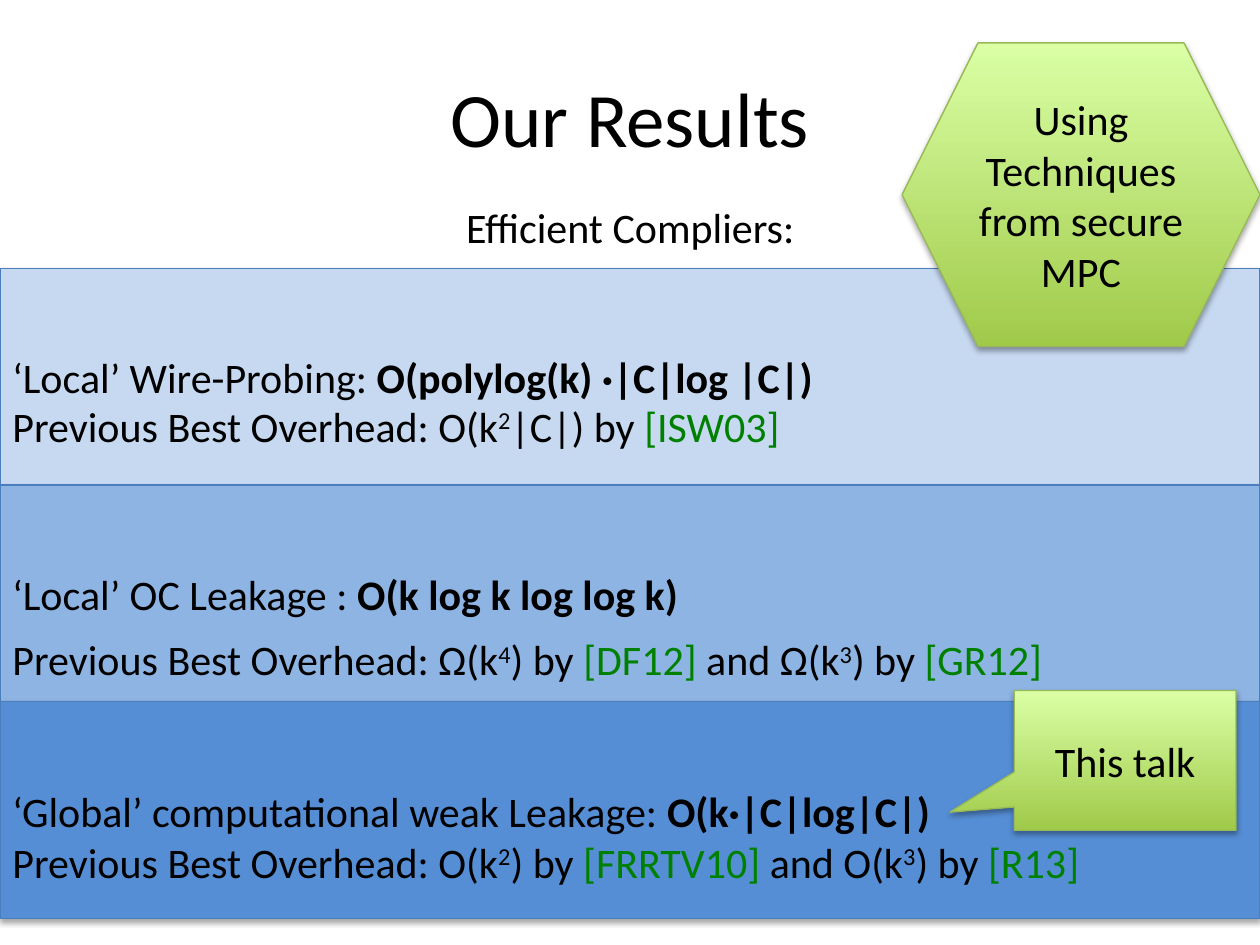
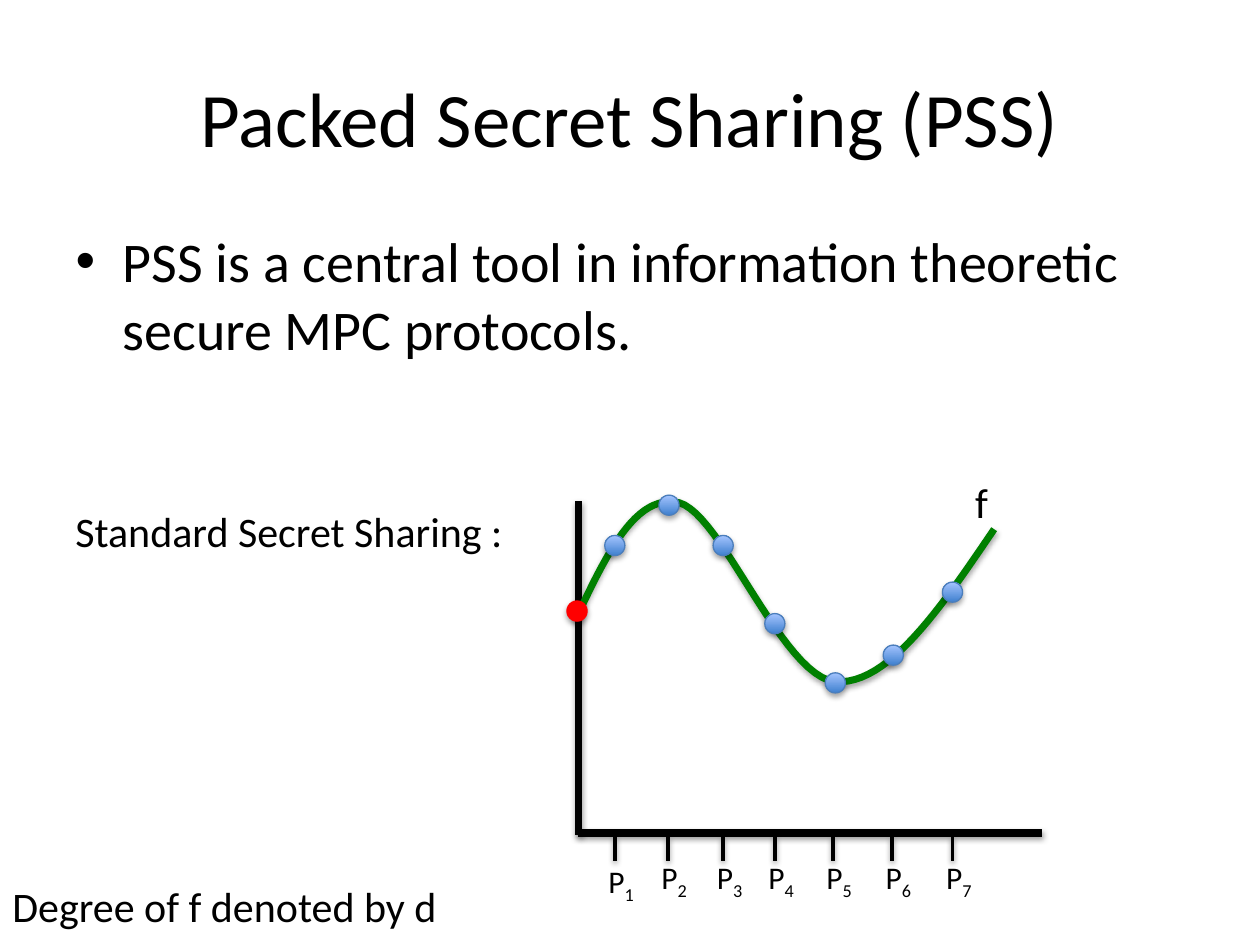
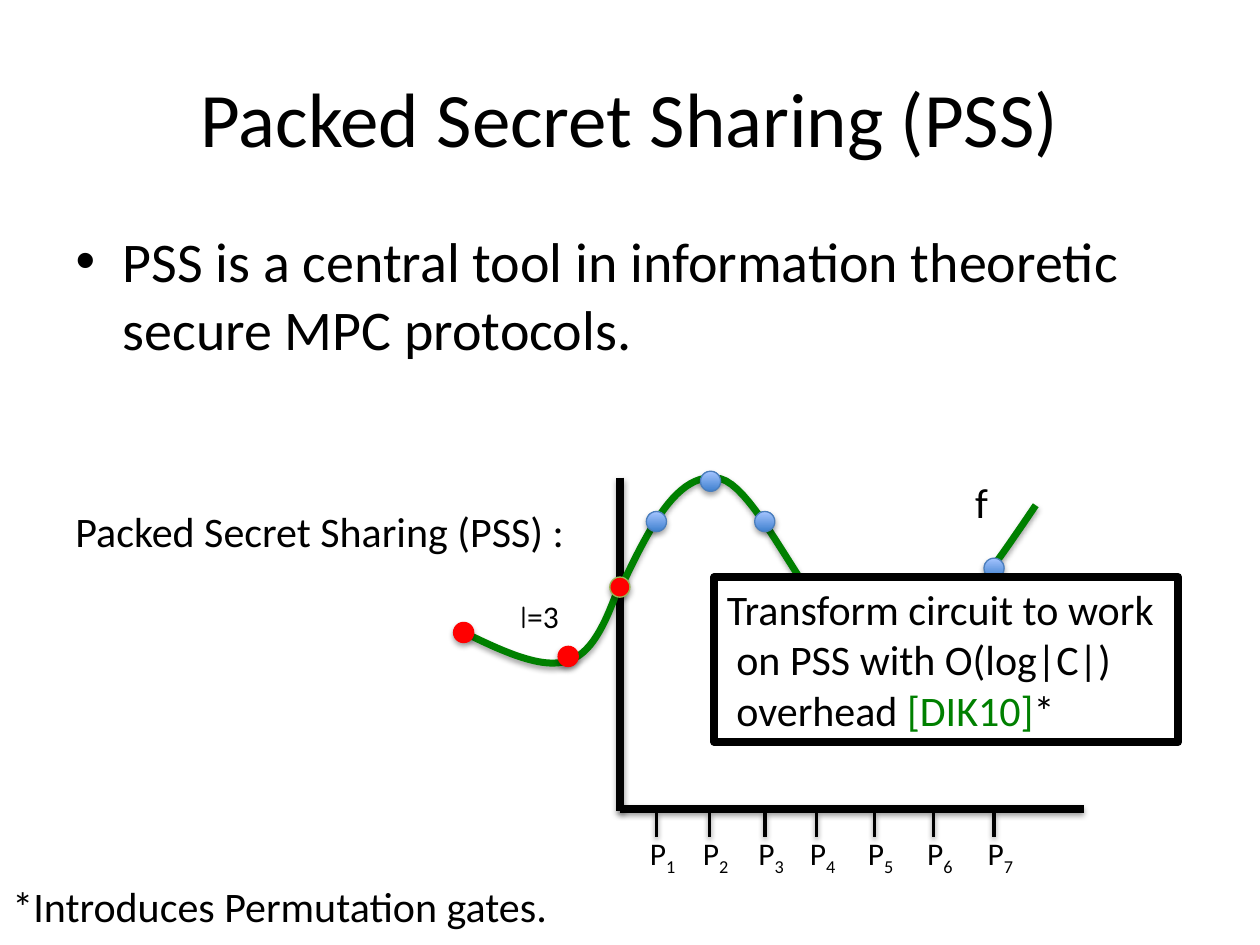
from pptx import Presentation
from pptx.dml.color import RGBColor
from pptx.enum.shapes import MSO_CONNECTOR as CONN, MSO_SHAPE as SHAPE
from pptx.enum.text import MSO_ANCHOR as ANCHOR, PP_ALIGN as ALIGN
from pptx.oxml.ns import qn
from pptx.util import Pt
from lxml import etree

PX = 9144  # 100 px to the inch
FONT = "Calibri"
BLACK, WHITE, RED, GREEN, BLUE_EDGE, LIME_EDGE = (
    "000000", "FFFFFF", "FF0000", "008000", "4B7EBC", "98B955")
LIME = ("A0CA4A", "DAFFA5")  # gradient, bottom to top
BLUE = ("3F80CE", "A4C4FF")
BASELINE = {"sup": "30000", "sub": "-25000"}

# Content: rich text is a list of (text, mark)
BAND_TOP, BAND_H = 213, 172
PREVIOUS = "Previous Best Overhead: "
BANDS = [  # fill, result, earlier work, top of earlier work
    ("C6D9F1",
     [("‘Local’ Wire-Probing: ", ""), ("O(polylog(k) ·|C|log |C|)", "bold")],
     [(PREVIOUS + "O(k", ""), ("2", "sup"), ("|C|) by ", ""), ("[ISW03]", "cite")], 313),
    ("8EB4E3",
     [("‘Local’ OC Leakage : ", ""), ("O(k log k log log k)", "bold")],
     [(PREVIOUS + "Ω(k", ""), ("4", "sup"), (") by ", ""), ("[DF12] ", "cite"),
      ("and Ω(k", ""), ("3", "sup"), (") by ", ""), ("[GR12]", "cite")], 498),
    ("558ED5",
     [("‘Global’ computational weak Leakage: ", ""), ("O(k·|C|log|C|)", "bold")],
     [(PREVIOUS + "O(k", ""), ("2", "sup"), (") by ", ""), ("[FRRTV10] ", "cite"),
      ("and O(k", ""), ("3", "sup"), (") by ", ""), ("[R13]", "cite")], 659),
]
PSS_TITLE = "Packed Secret Sharing (PSS)"
PSS_BODY = "PSS is a central tool in information theoretic secure MPC protocols."
PARTIES = [  # tick x, then centre of the share on the curve
    (488, 488, 433), (530, 531, 401), (574, 574, 433), (615, 615, 495),
    (661, 663, 542), (708, 709, 520), (756, 756, 470)]
CURVE = [(457, 491), (481, 441), (504, 391), (539, 399), (573, 408), (621, 537),
         (663, 541), (705, 544), (747, 482), (789, 420)]
TAIL = [(491, 466), (481, 493), (470, 520), (449, 525), (427, 531), (395, 515), (362, 499)]
PACKED_SHIFT = (33, -19)
NOTE = [
    [("Transform circuit to work", "")],
    [(" on PSS with O(log|C|)", "")],
    [(" overhead ", ""), ("[DIK10]", "cite"), ("*", "")],
]


def rgb(value):
    return RGBColor.from_string(value)


def px(*values):
    return [round(v * PX) for v in values]


# Formatting
def font(r, size, mark=""):
    f = r.font
    f.name = "Comic Neue" if mark == "comic" else FONT
    f.size = Pt(size)
    f.bold = mark == "bold"
    f.color.rgb = rgb(GREEN if mark == "cite" else BLACK)
    if mark in BASELINE:
        f._element.set("baseline", BASELINE[mark])


def write(tf, paragraphs, size=24, align=ALIGN.LEFT):
    for i, runs in enumerate(paragraphs):
        p = tf.add_paragraph() if i else tf.paragraphs[0]
        p.alignment = align
        for text, mark in runs:
            r = p.add_run()
            r.text = text
            font(r, size, mark)


def outline(obj, color, width):
    obj.line.color.rgb = rgb(color)
    obj.line.width = Pt(width)


def cast_shadow(obj, alpha=35, dist=23000):
    """Soft shadow below; called once fill and line are set."""
    effects = etree.SubElement(obj._element.spPr, qn("a:effectLst"))
    shadow = etree.SubElement(effects, qn("a:outerShdw"), blurRad="40000", dist=str(dist),
                              dir="5400000", rotWithShape="0")
    color = etree.SubElement(shadow, qn("a:srgbClr"), val=BLACK)
    etree.SubElement(color, qn("a:alpha"), val=str(alpha * 1000))


def paint(fill, color):
    if isinstance(color, str):
        fill.solid()
        fill.fore_color.rgb = rgb(color)
    else:
        fill.gradient()
        fill.gradient_angle = 90
        for stop, c in zip(fill.gradient_stops, color):
            stop.color.rgb = rgb(c)


# Parts
def add_box(s, x, y, w, h, paragraphs, size=24, wrap=False):
    sp = s.shapes.add_textbox(*px(x, y, w, h))
    sp.text_frame.word_wrap = wrap
    write(sp.text_frame, paragraphs, size)
    return sp


def add_shape(s, kind, x, y, w, h, fill, edge, runs=(), align=ALIGN.LEFT):
    sp = s.shapes.add_shape(kind, *px(x, y, w, h))
    paint(sp.fill, fill)
    outline(sp, edge, 0.75)
    cast_shadow(sp)
    if runs:
        sp.text_frame.vertical_anchor = ANCHOR.MIDDLE
        write(sp.text_frame, [runs], align=align)
    return sp


def add_line(s, x1, y1, x2, y2, width):
    line = s.shapes.add_connector(CONN.STRAIGHT, *px(x1, y1, x2, y2))
    outline(line, BLACK, width)
    cast_shadow(line, 38, 20000)


def add_dot(s, cx, cy, fill, edge):
    add_shape(s, SHAPE.OVAL, cx - 8, cy - 8, 16, 16, fill, edge)


def bezier(knots, steps=24):
    """Points along joined cubic curves."""
    points = [knots[0]]
    for i in range(0, len(knots) - 1, 3):
        a, b, c, d = knots[i:i + 4]
        for n in range(1, steps + 1):
            t = n / steps
            u = 1 - t
            points.append(tuple(
                u**3 * a[k] + 3 * u * u * t * b[k] + 3 * u * t * t * c[k] + t**3 * d[k]
                for k in (0, 1)))
    return points


def add_curve(s, knots):
    first, *rest = [px(*point) for point in bezier(knots)]
    builder = s.shapes.build_freeform(*first, scale=1.0)
    builder.add_line_segments(rest, close=False)
    sp = builder.convert_to_shape()
    sp.fill.background()
    outline(sp, GREEN, 4)
    cast_shadow(sp)


def add_slide(prs, layout, title):
    s = prs.slides.add_slide(prs.slide_layouts[layout])
    s.shapes.title.text = title
    font(s.shapes.title.text_frame.paragraphs[0].runs[0], 44)
    return s


def add_pss_slide(prs, heading, footnote, heading_w, footnote_w, shift=(0, 0), label_y=676):
    s = add_slide(prs, 1, PSS_TITLE)
    body = s.placeholders[1]
    body.left, body.top, body.width, body.height = px(50, 175, 900, 157)
    body.text_frame.text = PSS_BODY
    font(body.text_frame.paragraphs[0].runs[0], 32)

    # Axes, party ticks, polynomial and shares
    dx, dy = shift
    add_line(s, 459 + dx, 398 + dy, 459 + dx, 663 + dy, 4.25)
    add_line(s, 827 + dx, 661 + dy, 459 + dx, 661 + dy, 4.25)
    for n, (tick, _, _) in enumerate(PARTIES, 1):
        add_line(s, tick + dx, 664 + dy, tick + dx, 683 + dy, 2)
        top = label_y if n == 1 else 676
        add_box(s, tick - 15 + dx, top + dy, 45, 40, [[("P", ""), (str(n), "sub")]], 18, True)
    add_curve(s, [(x + dx, y + dy) for x, y in CURVE])
    for _, x, y in PARTIES:
        add_dot(s, x + dx, y + dy, BLUE, BLUE_EDGE)

    add_box(s, 50, 396, heading_w, 91, [[(heading, "")]])
    add_box(s, 764, 373, 121, 50, [[("f", "")]], wrap=True)
    add_box(s, 0, 694, footnote_w, 50, [[(footnote, "")]])
    return s


def main():
    prs = Presentation()
    prs.slide_width, prs.slide_height = px(1000, 750)

    # Results
    s = add_slide(prs, 5, "Our Results")
    for i, (fill, result, _, _) in enumerate(BANDS):
        add_shape(s, SHAPE.RECTANGLE, 0, BAND_TOP + i * BAND_H, 1000, BAND_H,
                  fill, BLUE_EDGE, result)
    add_box(s, 360, 155, 285, 50, [[("Efficient Compliers:", "")]])
    add_shape(s, SHAPE.HEXAGON, 716, 34, 284, 241, LIME, LIME_EDGE,
              [("Using Techniques from secure MPC", "")], ALIGN.CENTER)
    callout = add_shape(s, SHAPE.RECTANGULAR_CALLOUT, 805, 548, 176, 111, LIME, LIME_EDGE,
                        [("This talk", "")], ALIGN.CENTER)
    callout.adjustments[0], callout.adjustments[1] = -0.79, 0.37
    for _, _, earlier, top in BANDS:
        add_box(s, 0, top, 914, 91, [earlier])

    # Standard sharing: one secret
    s = add_pss_slide(prs, "Standard Secret Sharing :", "Degree of f denoted by d",
                      364, 361, label_y=679)
    add_dot(s, 458, 485, RED, RED)

    # Packed sharing: three secrets
    s = add_pss_slide(prs, "Packed Secret Sharing (PSS) :", "*Introduces Permutation gates.",
                      422, 452, PACKED_SHIFT)
    add_curve(s, TAIL)
    for x, y, edge in [(451, 521, RED), (368, 502, RED), (492, 466, LIME_EDGE)]:
        add_dot(s, x, y, RED, edge)
    add_box(s, 403, 469, 58, 40, [[("l", "comic"), ("=3", "")]], 18)
    note = add_box(s, 567, 458, 368, 131, NOTE)
    paint(note.fill, WHITE)
    outline(note, BLACK, 4.5)

    prs.save("out.pptx")


if __name__ == "__main__":
    main()
